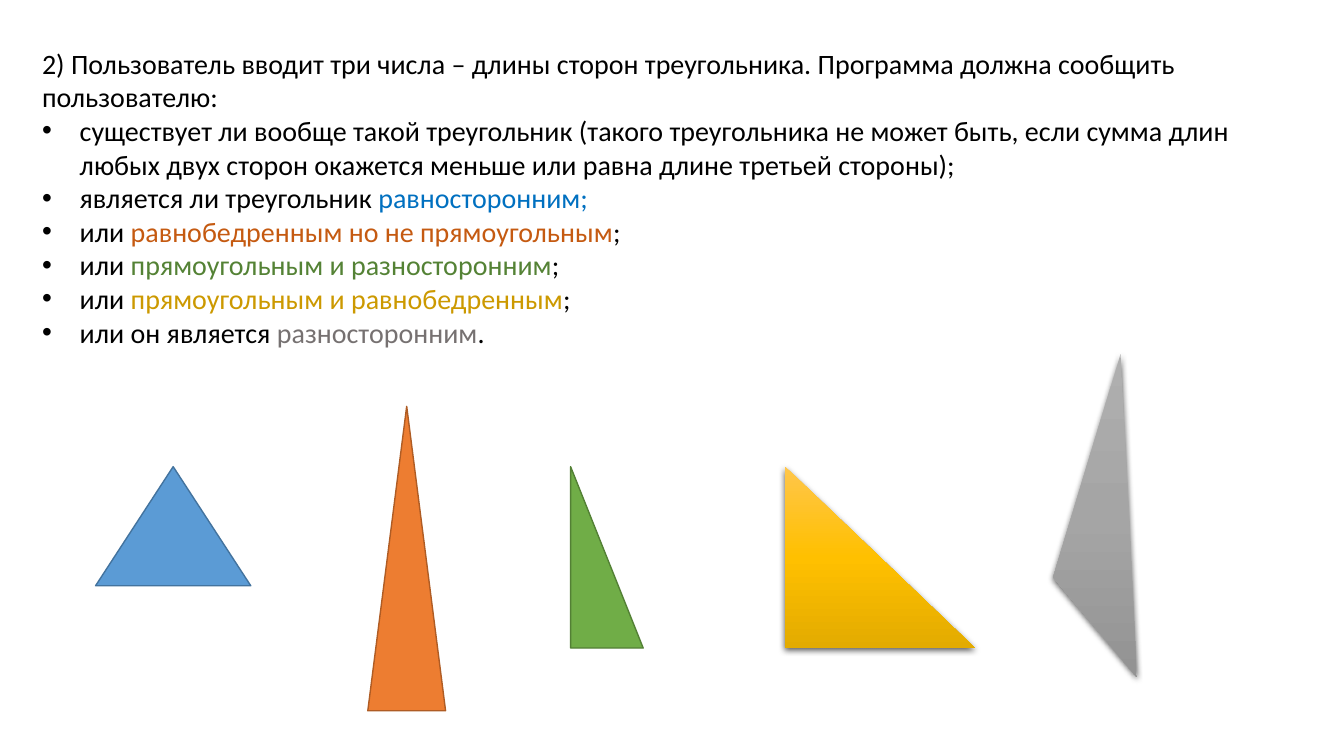
from lxml import etree
from pptx import Presentation
from pptx.dml.color import RGBColor
from pptx.enum import shapes, text
from pptx.oxml import ns
from pptx.util import Cm, Pt

BLACK = RGBColor(0x00, 0x00, 0x00)
BLUE_TEXT = RGBColor(0x00, 0x70, 0xC0)
ORANGE_TEXT = RGBColor(0xC5, 0x5A, 0x11)
GREEN_TEXT = RGBColor(0x54, 0x82, 0x35)
GOLD_TEXT = RGBColor(0xCC, 0x99, 0x00)
GRAY_TEXT = RGBColor(0x76, 0x71, 0x71)
BLUE, BLUE_LINE = RGBColor(0x5B, 0x9B, 0xD5), RGBColor(0x43, 0x73, 0x9E)
GREEN, GREEN_LINE = RGBColor(0x70, 0xAD, 0x47), RGBColor(0x53, 0x80, 0x35)
ORANGE, ORANGE_LINE = RGBColor(0xED, 0x7D, 0x31), RGBColor(0xAF, 0x5C, 0x24)
GOLD_STOPS = [RGBColor(0xFF, 0xC6, 0x4B), RGBColor(0xFF, 0xC0, 0x00), RGBColor(0xE3, 0xAB, 0x00)]
GRAY_STOPS = [RGBColor(0xAF, 0xAF, 0xAF), RGBColor(0xA5, 0xA5, 0xA5), RGBColor(0x93, 0x93, 0x93)]

TASK = "2) Пользователь вводит три числа – длины сторон треугольника. Программа должна сообщить пользователю:"
CONDITIONS = [
    [("существует ли вообще такой треугольник (такого треугольника не может быть, если сумма длин "
      "любых двух сторон окажется меньше или равна длине третьей стороны);", BLACK)],
    [("является ли треугольник ", BLACK), ("равносторонним;", BLUE_TEXT)],
    [("или ", BLACK), ("равнобедренным но не прямоугольным", ORANGE_TEXT), (";", BLACK)],
    [("или ", BLACK), ("прямоугольным и разносторонним", GREEN_TEXT), (";", BLACK)],
    [("или ", BLACK), ("прямоугольным и равнобедренным", GOLD_TEXT), (";", BLACK)],
    [("или он является ", BLACK), ("разносторонним", GRAY_TEXT), (".", BLACK)],
]

ISOSCELES = shapes.MSO_SHAPE.ISOSCELES_TRIANGLE
RIGHT = shapes.MSO_SHAPE.RIGHT_TRIANGLE
FLAT_TRIANGLES = [
    (ISOSCELES, (2.41, 11.76, 3.91, 3.0), BLUE, BLUE_LINE),
    (RIGHT, (14.38, 11.76, 1.83, 4.57), GREEN, GREEN_LINE),
    (ISOSCELES, (9.27, 10.24, 1.96, 7.67), ORANGE, ORANGE_LINE),
]
GOLD_BOX = (19.79, 11.76, 4.78, 4.57)
SCALENE_CORNERS = [(26.54, 14.55), (28.24, 8.92), (28.65, 17.07)]


def add_element(parent, tag, **attributes):
    return etree.SubElement(parent, ns.qn(tag), {key: str(value) for key, value in attributes.items()})


def add_paragraph(paragraph, runs, bulleted):
    if bulleted:
        properties = paragraph._p.get_or_add_pPr()
        properties.set("marL", str(Cm(0.95)))
        properties.set("indent", str(-Cm(0.95)))
        add_element(properties, "a:buFont", typeface="Arial")
        add_element(properties, "a:buChar", char="•")
    for words, color in runs:
        run = paragraph.add_run()
        run.text = words
        run.font.name = "Calibri"
        run.font.size = Pt(20)
        run.font.color.rgb = color


def shade(shape, colors):
    shape.line.fill.background()
    shape.fill.gradient()
    shape.fill.gradient_angle = 270
    stops = shape._element.spPr.find(".//" + ns.qn("a:gsLst"))
    for stop in list(stops):
        stops.remove(stop)
    for index, color in enumerate(colors):
        stop = add_element(stops, "a:gs", pos=index * 50000)
        add_element(stop, "a:srgbClr", val=color)
    shape.shadow.inherit = False
    effects = shape._element.spPr.find(ns.qn("a:effectLst"))
    shadow = add_element(effects, "a:outerShdw", blurRad=Pt(4.5), dist=Pt(1.5),
                         dir=5400000, algn="ctr", rotWithShape=0)
    add_element(add_element(shadow, "a:srgbClr", val=BLACK), "a:alpha", val=63000)


def main():
    presentation = Presentation()
    presentation.slide_width, presentation.slide_height = Cm(33.87), Cm(19.05)
    slide = presentation.slides.add_slide(presentation.slide_layouts[6])

    frame = slide.shapes.add_textbox(Cm(0.81), Cm(1.04), Cm(31.52), Cm(7.95)).text_frame
    frame.word_wrap = True
    frame.auto_size = text.MSO_AUTO_SIZE.SHAPE_TO_FIT_TEXT
    add_paragraph(frame.paragraphs[0], [(TASK, BLACK)], False)
    for runs in CONDITIONS:
        add_paragraph(frame.add_paragraph(), runs, True)

    for kind, box, fill, line in FLAT_TRIANGLES:
        triangle = slide.shapes.add_shape(kind, *map(Cm, box))
        triangle.shadow.inherit = False
        triangle.fill.solid()
        triangle.fill.fore_color.rgb = fill
        triangle.line.color.rgb = line
        triangle.line.width = Pt(1)

    shade(slide.shapes.add_shape(RIGHT, *map(Cm, GOLD_BOX)), GOLD_STOPS)

    corners = [(Cm(x), Cm(y)) for x, y in SCALENE_CORNERS]
    builder = slide.shapes.build_freeform(*corners[0])
    builder.add_line_segments(corners[1:], close=True)
    shade(builder.convert_to_shape(), GRAY_STOPS)

    presentation.save("out.pptx")


if __name__ == "__main__":
    main()
